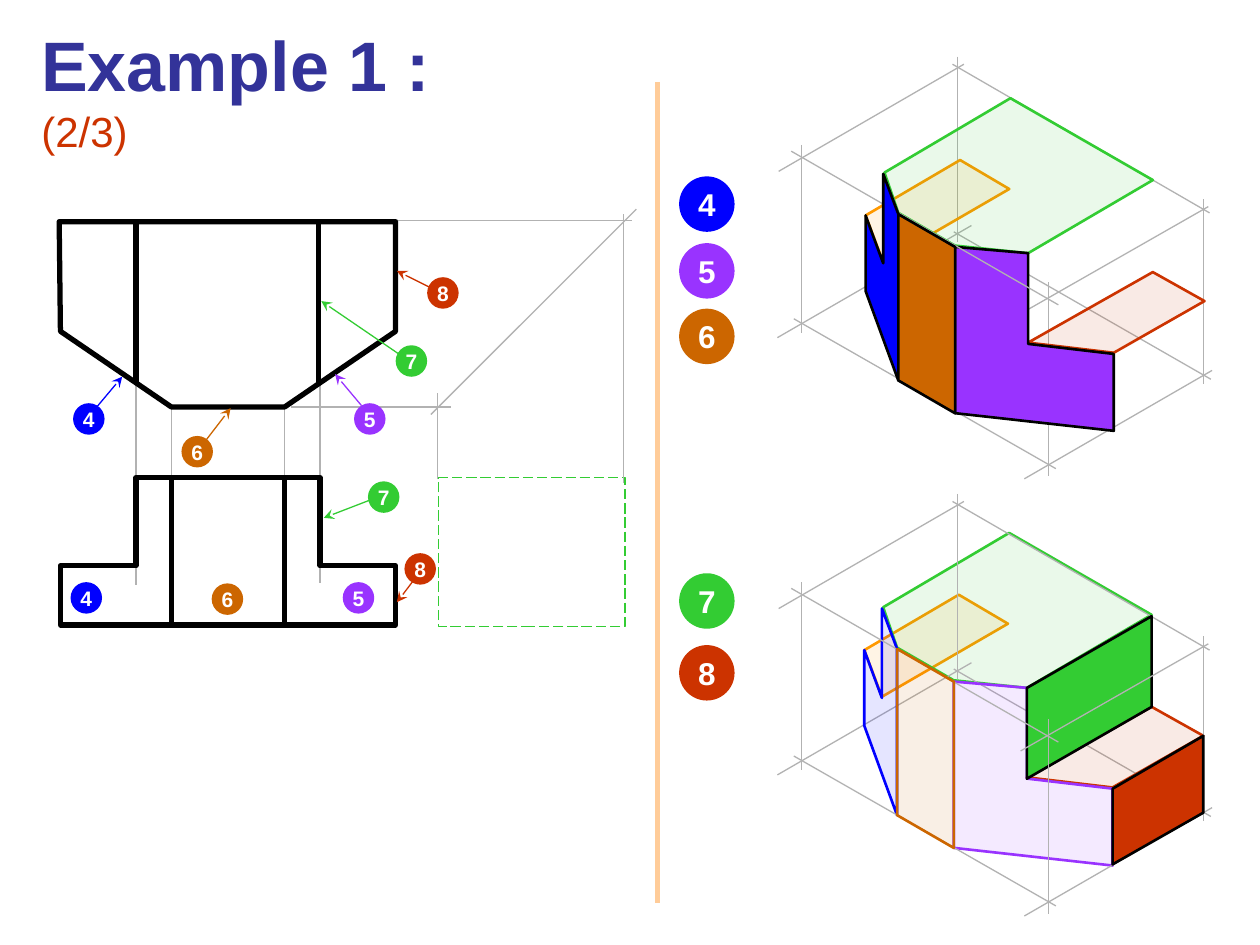
"""Build the Example 1 (2/3) slide: numbered faces in two views and two isometric drawings."""
from dataclasses import dataclass, field

from lxml import etree
from pptx import Presentation
from pptx import util as u
from pptx.dml.color import RGBColor
from pptx.enum import dml, shapes, text
from pptx.oxml import ns


@dataclass
class Theme:
    font: str = "Arial"
    title: str = "333399"
    accent: str = "CC3300"
    ink: str = "000000"
    guide: str = "B2B2B2"
    divider: str = "FFCC99"
    white: str = "FFFFFF"
    base: str = "FF9900"
    faces: dict = field(default_factory=lambda: {
        "4": "0000FF", "5": "9933FF", "6": "CC6600", "7": "33CC33", "8": "CC3300"})
    title_size: int = 40
    part_size: int = 24
    badge_sizes: dict = field(default_factory=lambda: {2.5: 12, 4.4: 18})
    thin: float = 0.75
    medium: float = 1.5
    thick: float = 3
    tint: int = 10


class Sketch:
    def __init__(self, prs, theme, cols=100, rows=75):
        self.t = theme
        self.s = prs.slides.add_slide(prs.slide_layouts[6])
        self.col = prs.slide_width / cols
        self.row = prs.slide_height / rows

    def x(self, n):
        return round(n * self.col)

    def y(self, n):
        return round(n * self.row)

    def stroke(self, sp, color, width):
        sp.line.color.rgb = RGBColor.from_string(color)
        sp.line.width = u.Pt(width)

    def fill(self, sp, color, alpha=100):
        if color is None:
            sp.fill.background()
            return
        sp.fill.solid()
        sp.fill.fore_color.rgb = RGBColor.from_string(color)
        if alpha < 100:
            clr = sp._element.spPr.find(ns.qn("a:solidFill"))[0]
            etree.SubElement(clr, ns.qn("a:alpha"), val=str(alpha * 1000))

    def line(self, x1, y1, x2, y2, color, width, arrow=False):
        c = self.s.shapes.add_connector(
            shapes.MSO_CONNECTOR.STRAIGHT, self.x(x1), self.y(y1), self.x(x2), self.y(y2))
        self.stroke(c, color, width)
        if arrow:
            etree.SubElement(c.line._get_or_add_ln(), ns.qn("a:tailEnd"), type="stealth")
        etree.SubElement(c._element.spPr, ns.qn("a:effectLst"))

    def polygon(self, points, color, width, fill=None, alpha=100, shift=(0, 0)):
        pts = [(self.x(px + shift[0]), self.y(py + shift[1])) for px, py in points]
        fb = self.s.shapes.build_freeform(*pts[0])
        fb.add_line_segments(pts[1:], close=True)
        sp = fb.convert_to_shape()
        sp.shadow.inherit = False
        self.fill(sp, fill, alpha)
        self.stroke(sp, color, width)

    def dashed_box(self, x, y, w, h, color):
        sp = self.s.shapes.add_shape(
            shapes.MSO_SHAPE.RECTANGLE, self.x(x), self.y(y), self.x(w), self.y(h))
        sp.shadow.inherit = False
        self.fill(sp, None)
        self.stroke(sp, color, self.t.thin)
        sp.line.dash_style = dml.MSO_LINE.LONG_DASH

    def run(self, p, words, size, color, bold):
        r = p.add_run()
        r.text = words
        r.font.name, r.font.size, r.font.bold = self.t.font, u.Pt(size), bold
        r.font.color.rgb = RGBColor.from_string(color)

    def badge(self, number, x, y, size=2.5):
        sp = self.s.shapes.add_shape(
            shapes.MSO_SHAPE.OVAL, self.x(x), self.y(y), self.x(size), self.y(size))
        sp.shadow.inherit = False
        self.fill(sp, self.t.faces[number])
        sp.line.fill.background()
        tf = sp.text_frame
        tf.word_wrap = False
        tf.vertical_anchor = text.MSO_ANCHOR.MIDDLE
        p = tf.paragraphs[0]
        p.alignment = text.PP_ALIGN.CENTER
        self.run(p, number, self.t.badge_sizes[size], self.t.white, True)

    def title(self, x, y, w, h, main, part):
        tf = self.s.shapes.add_textbox(self.x(x), self.y(y), self.x(w), self.y(h)).text_frame
        tf.word_wrap = False
        tf.auto_size = text.MSO_AUTO_SIZE.SHAPE_TO_FIT_TEXT
        p = tf.paragraphs[0]
        self.run(p, main, self.t.title_size, self.t.title, True)
        self.run(p, part, self.t.part_size, self.t.accent, False)

    def isometric(self, steps, frame_drop=0, face_shift=(0, 0)):
        for name, look in steps:
            if look == "frame":
                for x1, y1, x2, y2 in FRAME[name]:
                    self.line(x1, y1 + frame_drop, x2, y2 + frame_drop, self.t.guide, self.t.thin)
                continue
            color = self.t.faces.get(FACE_COLOR.get(name, name), self.t.base)
            solid = look == "solid"
            self.polygon(FACES[name], self.t.ink if solid else color, self.t.medium,
                         color, 100 if solid else self.t.tint, face_shift)


PLAN = [(4.7, 17.6), (4.8, 26.3), (13.6, 32.3), (22.6, 32.3), (31.4, 26.3), (31.4, 17.6)]
FRONT = [(4.8, 49.6), (4.8, 44.9), (10.8, 44.9), (10.8, 37.9),
         (25.4, 37.9), (25.4, 44.9), (31.4, 44.9), (31.4, 49.6)]
EDGES = [(10.8, 17.6, 10.8, 30.4), (25.3, 17.5, 25.3, 30.4),
         (13.6, 37.9, 13.6, 49.6), (22.6, 37.8, 22.6, 49.6)]
GUIDES = [(13.6, 32.3, 13.6, 39.5), (22.6, 32.3, 22.6, 39.5), (10.8, 30.3, 10.8, 46.4),
          (25.4, 30.5, 25.4, 46.3), (23.1, 32.3, 35.8, 32.3), (34.7, 38, 34.7, 31.2),
          (34.2, 32.9, 50.5, 16.6), (31.6, 17.5, 50.2, 17.5), (49.5, 17, 49.5, 38.3)]
POINTERS = [("4", 7.6, 32.4, 9.7, 29.9), ("5", 28.7, 32.2, 26.6, 29.7),
            ("6", 16.3, 35, 18.3, 32.4), ("7", 32.1, 28.4, 25.5, 23.9),
            ("7", 29.6, 39.6, 25.7, 41.1), ("8", 35.3, 23.4, 31.5, 21.5),
            ("8", 33.1, 45.7, 31.5, 47.8)]
BADGES = [("4", 5.6, 46.2), ("5", 27.2, 46.2), ("6", 16.8, 46.3), ("4", 5.8, 32),
          ("5", 28.1, 32), ("6", 14.4, 34.6), ("7", 31.4, 27.4), ("7", 29.2, 38.2),
          ("8", 33.9, 22), ("8", 32.1, 43.9)]
LEGEND = [("4", 14), ("5", 19.3), ("6", 24.5), ("7", 45.5), ("8", 51.2)]

FRAME = {
    "back": [(76, 4.5, 76, 19.2), (77.1, 17.9, 61.7, 26.8), (75.7, 18.4, 96.1, 30.1)],
    "sides": [(95.5, 15.8, 95.5, 30.5), (75.6, 5.1, 96, 16.9), (63.6, 11.5, 63.6, 26.4),
              (63, 25.3, 83.8, 37.2), (96.2, 29.4, 81.3, 38), (76.5, 5.1, 61.8, 13.6)],
    "top": [(62.8, 12, 84, 24.2)],
    "front": [(83.2, 22.4, 83.2, 37.8), (95.9, 16.4, 81, 24.9)],
}
FACES = {
    "ledge": [(70.1, 20.8), (68.7, 17.1), (76.2, 12.7), (80.1, 15)],
    "step": [(91.5, 21.6), (95.6, 23.9), (88.4, 28), (81.6, 27.2)],
    "roof": [(81.6, 20.1), (75.8, 19.5), (71.3, 16.9), (70.2, 13.7), (80.2, 7.8), (91.5, 14.3)],
    "4": [(70.1, 13.8), (70.1, 20.9), (68.7, 17.1), (68.7, 23.1), (71.3, 30.2), (71.3, 17)],
    "5": [(88.4, 34.2), (88.4, 28.1), (81.6, 27.3), (81.6, 20.1), (75.8, 19.6), (75.8, 32.8)],
    "6": [(75.8, 19.6), (71.3, 17), (71.3, 30.2), (75.8, 32.8)],
    "7": [(91.5, 14.4), (91.5, 21.6), (81.6, 27.3), (81.6, 20.1)],
    "8": [(95.6, 23.9), (95.6, 30), (88.4, 34.1), (88.4, 28.1)],
}
FACE_COLOR = {"roof": "7", "step": "8"}
UPPER = [("back", "frame"), ("sides", "frame"), ("front", "frame"), ("ledge", "tint"),
         ("step", "tint"), ("roof", "tint"), ("5", "solid"), ("top", "frame"),
         ("4", "solid"), ("6", "solid")]
LOWER = [("ledge", "tint"), ("roof", "tint"), ("back", "frame"), ("step", "tint"),
         ("5", "tint"), ("4", "tint"), ("sides", "frame"), ("7", "solid"),
         ("top", "frame"), ("6", "tint"), ("front", "frame"), ("8", "solid")]


def main():
    prs = Presentation()
    prs.slide_width, prs.slide_height = u.Inches(10), u.Inches(7.5)
    t = Theme()
    sk = Sketch(prs, t)
    sk.title(2.3, 1.2, 41.2, 7.7, "Example 1 : ", "(2/3)")
    sk.line(52.2, 6.5, 52.2, 71.7, t.divider, t.thick)
    sk.dashed_box(34.8, 37.9, 14.8, 11.8, t.faces["7"])
    for guide in GUIDES:
        sk.line(*guide, t.guide, t.thin)
    for outline in (PLAN, FRONT):
        sk.polygon(outline, t.ink, t.thick)
    for edge in EDGES:
        sk.line(*edge, t.ink, t.thick)
    for number, *ends in POINTERS:
        sk.line(*ends, t.faces[number], t.thin, arrow=True)
    for badge in BADGES:
        sk.badge(*badge)
    for number, y in LEGEND:
        sk.badge(number, 53.9, y, 4.4)
    sk.isometric(UPPER)
    sk.isometric(LOWER, 34.7, (-0.1, 34.5))
    prs.save("out.pptx")


if __name__ == "__main__":
    main()
